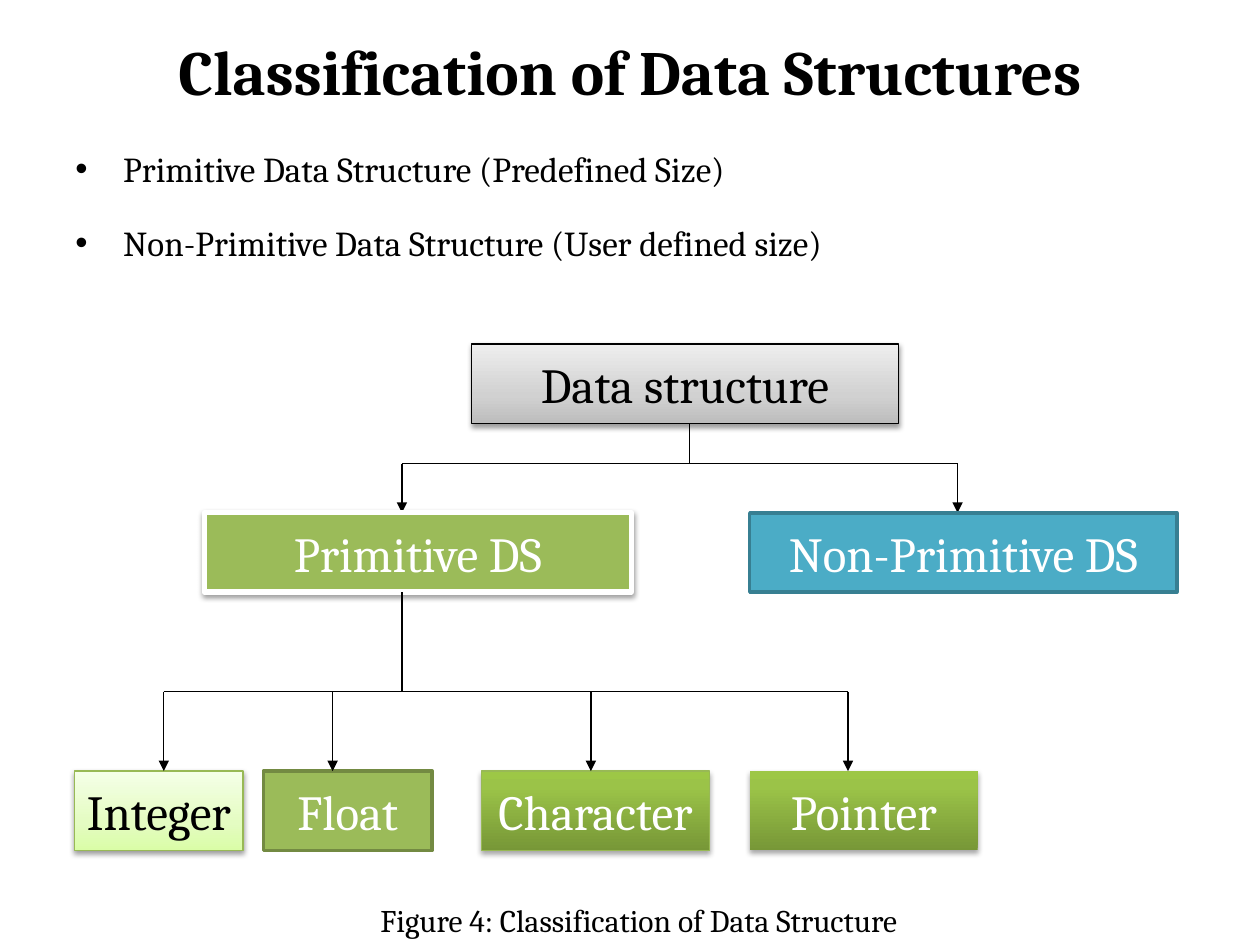
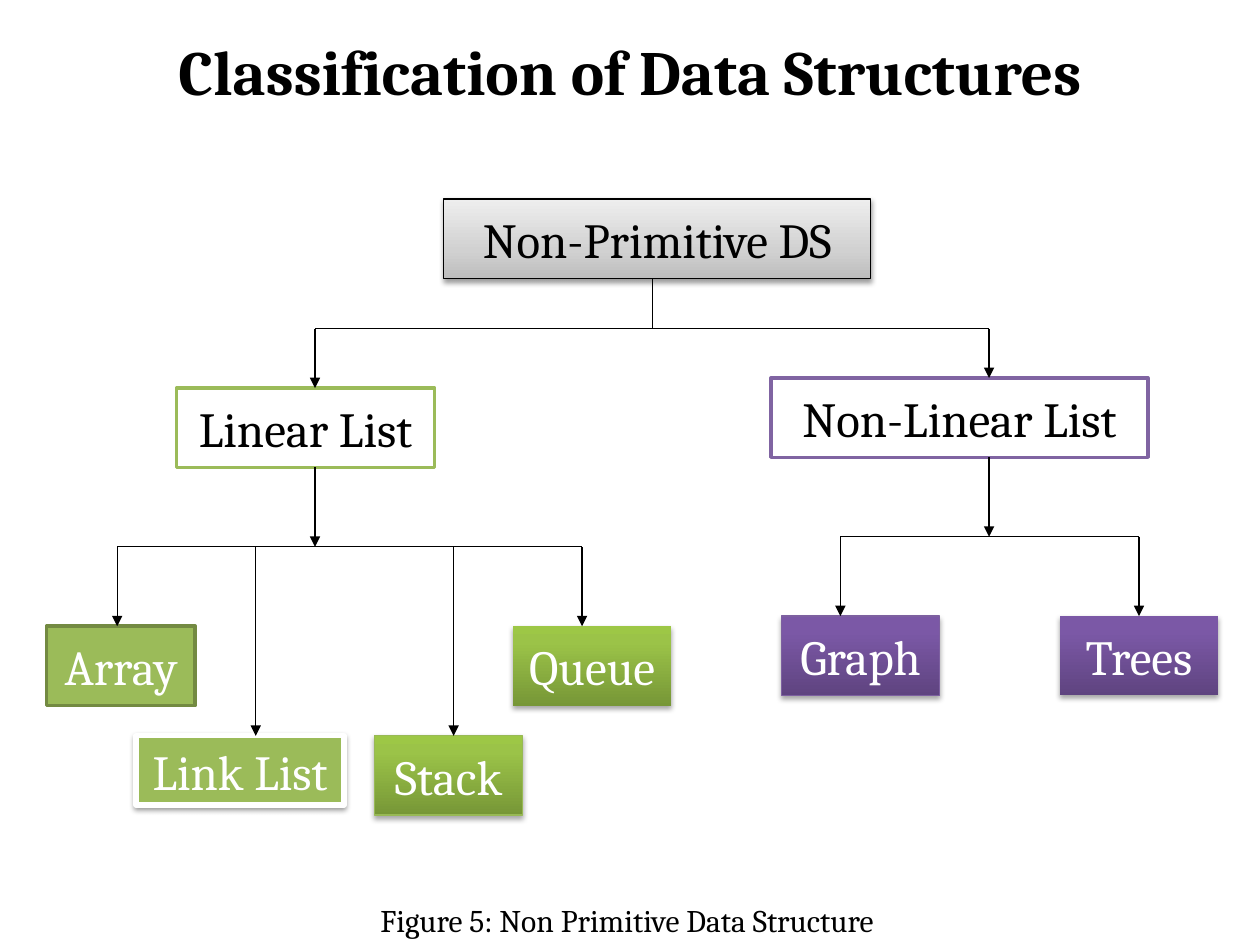
from dataclasses import dataclass
from typing import Any, Optional, Union

from lxml.etree import SubElement
from pptx import Presentation
from pptx.dml.color import RGBColor
from pptx.enum.shapes import MSO_CONNECTOR, MSO_SHAPE
from pptx.enum.text import MSO_ANCHOR, PP_ALIGN
from pptx.oxml.ns import qn
from pptx.util import Inches, Pt

FONT = "Cambria"
TITLE = "Classification of Data Structures"
ROW = 0.63  # usual box height

COLORS = {
    "black": "000000", "white": "FFFFFF", "green": "9BBB59", "moss": "738A42",
    "leaf": "98B955", "teal": "4BACC6", "sea": "377F92", "purple": "8064A2",
    "plum": "7D60A0",
}
# Stops run from the bottom of the box to the top
BLENDS = {
    "grey": [(0, "BDBDBD"), (35, "D1D1D1"), (100, "EEEEEE")],
    "lime": [(0, "DAFDA7"), (35, "E4FCC2"), (100, "F5FFE7")],
    "grass": [(0, "779737"), (80, "9BC348"), (100, "9DC746")],
    "grape": [(0, "5F4480"), (80, "7B58A6"), (100, "7C57A8")],
}


@dataclass(frozen=True)
class Look:
    fill: str
    line: Optional[str] = None
    width: float = 0.75
    ink: str = "white"
    shade: Optional[tuple[int, float]] = None  # opacity, distance


SOFT, DEEP = (38, 1.6), (35, 1.8)
LOOKS = {
    "root": Look("grey", "black", ink="black", shade=SOFT),
    "pale": Look("lime", "leaf", ink="black", shade=SOFT),
    "frame": Look("green", "white", 3, shade=SOFT),
    "solid": Look("green", "moss", 2),
    "teal": Look("teal", "sea", 2),
    "green edge": Look("white", "green", 2, ink="black"),
    "purple edge": Look("white", "purple", 2, ink="black"),
    "grass": Look("grass", shade=DEEP),
    "grass edge": Look("grass", "leaf", shade=DEEP),
    "grape": Look("grape", shade=DEEP),
    "grape edge": Look("grape", "plum", shade=DEEP),
}


@dataclass(frozen=True)
class Node:
    text: str
    left: float
    top: float
    width: float
    look: str
    height: float = ROW


@dataclass(frozen=True)
class Fork:
    """A stem that drops to a bar, with an arrow down to each tip."""
    stem: float
    top: float
    bar: float
    tips: list[tuple[float, float]]
    arrow: bool = False


Part = Union[Node, Fork]


def color(name: str) -> RGBColor:
    return RGBColor.from_string(COLORS[name])


def write(frame: Any, *lines: str, size: float = 28, ink: str = "black",
          bold: bool = False, align: Any = PP_ALIGN.CENTER, anchor: Any = MSO_ANCHOR.MIDDLE,
          wrap: bool = False, bullet: bool = False, space: float = 1, gap: float = 0) -> None:
    frame.word_wrap = wrap
    frame.vertical_anchor = anchor
    for n, line in enumerate(lines):
        para = frame.add_paragraph() if n else frame.paragraphs[0]
        para.alignment = align
        para.line_spacing = space
        para.space_before = Pt(gap if n else 0)
        if bullet:
            props = para._p.get_or_add_pPr()
            props.set("marL", str(Inches(0.38)))
            props.set("indent", str(-Inches(0.38)))
            SubElement(props, qn("a:buFont"), typeface="Arial")
            SubElement(props, qn("a:buChar"), char="•")
        run = para.add_run()
        run.text = line
        run.font.name, run.font.size, run.font.bold = FONT, Pt(size), bold
        run.font.color.rgb = color(ink)


def add_text(slide: Any, box: tuple[float, ...], *lines: str, **style: Any) -> None:
    shape = slide.shapes.add_textbox(*map(Inches, box))
    write(shape.text_frame, *lines, anchor=MSO_ANCHOR.TOP, **style)


def paint(shape: Any, look: Look) -> None:
    props = shape._element.spPr
    # Fill
    if look.fill in BLENDS:
        shape.fill.gradient()
        shape.fill.gradient_angle = 90
        stops = props.find(qn("a:gradFill")).find(qn("a:gsLst"))
        stops.clear()
        for pos, tone in BLENDS[look.fill]:
            stop = SubElement(stops, qn("a:gs"), pos=str(pos * 1000))
            SubElement(stop, qn("a:srgbClr"), val=tone)
    else:
        shape.fill.solid()
        shape.fill.fore_color.rgb = color(look.fill)
    # Outline
    if look.line:
        shape.line.color.rgb = color(look.line)
        shape.line.width = Pt(look.width)
    else:
        shape.line.fill.background()
    # Shadow
    shape.shadow.inherit = False
    if look.shade:
        alpha, dist = look.shade
        cast = SubElement(props.find(qn("a:effectLst")), qn("a:outerShdw"),
                          blurRad=str(Pt(3.1)), dist=str(Pt(dist)), dir="5400000",
                          rotWithShape="0")
        tone = SubElement(cast, qn("a:srgbClr"), val=COLORS["black"])
        SubElement(tone, qn("a:alpha"), val=str(alpha * 1000))


def add_node(slide: Any, node: Node) -> None:
    place = map(Inches, (node.left, node.top, node.width, node.height))
    shape = slide.shapes.add_shape(MSO_SHAPE.RECTANGLE, *place)
    look = LOOKS[node.look]
    paint(shape, look)
    write(shape.text_frame, node.text, ink=look.ink)


def add_line(slide: Any, *ends: float, arrow: bool = False) -> None:
    link = slide.shapes.add_connector(MSO_CONNECTOR.STRAIGHT, *map(Inches, ends))
    link.line.color.rgb = color("black")
    link.line.width = Pt(0.75)
    props = link._element.spPr
    if arrow:
        SubElement(props.find(qn("a:ln")), qn("a:tailEnd"), type="triangle")
    SubElement(props, qn("a:effectLst"))


def add_fork(slide: Any, fork: Fork) -> None:
    ends = [x for x, _ in fork.tips]
    add_line(slide, fork.stem, fork.top, fork.stem, fork.bar, arrow=fork.arrow)
    add_line(slide, min(ends), fork.bar, max(ends), fork.bar)
    for x, y in fork.tips:
        add_line(slide, x, fork.bar, x, y, arrow=True)


def add_slide(deck: Any, parts: list[Part], note: str, width: float) -> Any:
    slide = deck.slides.add_slide(deck.slide_layouts[5])
    title = slide.shapes.title
    title.left, title.top, title.width, title.height = map(Inches, (0.5, 0.08, 9, 0.95))
    write(title.text_frame, TITLE, size=36, bold=True, wrap=True)
    for part in parts:
        if isinstance(part, Node):
            add_node(slide, part)
        else:
            add_fork(slide, part)
    add_text(slide, (2.92, 7.1, width, 0.4), note, size=18, align=PP_ALIGN.LEFT)
    return slide


# Parts are drawn from back to front
BASIC: list[Part] = [
    Fork(5.47, 3.36, 3.68, [(3.19, 4.07), (7.6, 4.07)]),
    Node("Data structure", 3.74, 2.73, 3.39, "root"),
    Node("Primitive DS", 1.62, 4.07, 3.39, "frame"),
    Node("Non-Primitive DS", 5.95, 4.07, 3.39, "teal"),
    Node("Integer", 0.59, 6.12, 1.34, "pale"),
    Node("Float", 2.09, 6.12, 1.34, "solid"),
    Node("Character", 3.82, 6.12, 1.81, "grass edge"),
    Node("Pointer", 5.95, 6.12, 1.81, "grass"),
    Fork(3.19, 4.7, 5.49, [(x, 6.12) for x in (1.3, 2.64, 4.69, 6.73)]),
]
LISTS: list[Part] = [
    Node("Non-Primitive DS", 3.52, 1.58, 3.39, "root"),
    Node("Linear List", 1.4, 3.08, 2.05, "green edge"),
    Node("Non-Linear List", 6.12, 3, 2.99, "purple edge"),
    Node("Array", 0.37, 4.97, 1.18, "solid"),
    Node("Link List", 1.08, 5.84, 1.65, "frame", 0.55),
    Node("Stack", 2.97, 5.84, 1.18, "grass edge"),
    Node("Queue", 4.07, 4.97, 1.26, "grass"),
    Node("Graph", 6.2, 4.89, 1.26, "grape edge"),
    Node("Trees", 8.41, 4.89, 1.26, "grape"),
    Fork(5.18, 2.21, 2.61, [(2.5, 3.08), (7.85, 3)]),
    Fork(2.5, 3.71, 4.34, [(0.93, 4.97), (2.03, 5.84), (3.6, 5.84), (4.62, 4.97)], True),
    Fork(7.85, 3.63, 4.26, [(6.67, 4.89), (9.04, 4.89)], True),
]


def main() -> None:
    deck = Presentation()
    deck.slide_width, deck.slide_height = Inches(10), Inches(7.5)

    # Slide 1: the two kinds
    first = add_slide(deck, BASIC, "Figure 4: Classification of Data Structure", 4.54)
    add_text(first, (0.5, 0.92, 9, 1.4), "Primitive Data Structure (Predefined Size)",
             "Non-Primitive Data Structure (User defined size)", size=20, wrap=True,
             align=PP_ALIGN.JUSTIFY, bullet=True, space=1.6, gap=4)

    # Slide 2: lists
    add_slide(deck, LISTS, "Figure 5: Non Primitive Data Structure", 4.34)

    deck.save("out.pptx")


if __name__ == "__main__":
    main()
